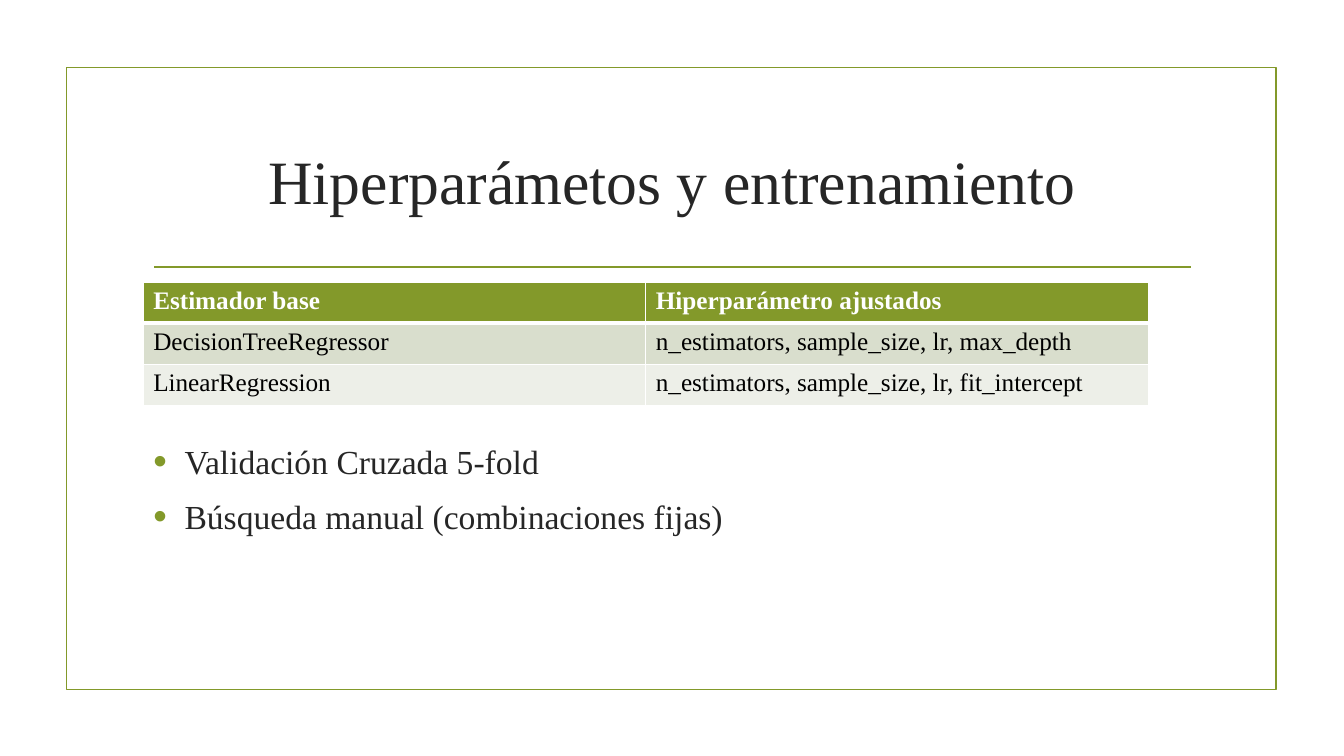
"""Builds the slide on hyperparameters and training."""
from dataclasses import dataclass

from lxml import etree
from pptx import Presentation
from pptx.dml.color import RGBColor as RGB
from pptx.enum.shapes import MSO_CONNECTOR as Connector, MSO_SHAPE as Shape
from pptx.enum.text import MSO_ANCHOR as Anchor, MSO_AUTO_SIZE as AutoSize, PP_ALIGN as Align
from pptx.oxml.ns import qn
from pptx.util import Inches, Pt


@dataclass(frozen=True)
class Theme:
    font: str = "Times New Roman"
    accent: str = "83992A"
    ink: str = "262626"
    white: str = "FFFFFF"
    black: str = "000000"
    bands: tuple = ("D9DECD", "EDEFE8")
    title_size: float = 44
    list_size: float = 24
    table_size: float = 18
    rule_width: float = 1.25


def apply(target, formats):
    for name, value in formats.items():
        setattr(target, name, value)


def add_element(parent, tag, **attributes):
    return etree.SubElement(parent, qn(tag), attributes)


class SlideBuilder:
    def __init__(self, slide, theme):
        self.slide = slide
        self.theme = theme

    def place(self, shape, left, top, width, height):
        apply(shape, {"left": Inches(left), "top": Inches(top),
                      "width": Inches(width), "height": Inches(height)})

    def add_text(self, paragraph, text, size, color, bold=False):
        run = paragraph.add_run()
        run.text = text
        apply(run.font, {"name": self.theme.font, "size": Pt(size), "bold": bold})
        run.font.color.rgb = RGB.from_string(color)

    def stroke(self, line):
        line.color.rgb = RGB.from_string(self.theme.accent)
        line.width = Pt(self.theme.rule_width)

    def frame(self, *box):
        border = self.slide.shapes.add_shape(Shape.RECTANGLE, *map(Inches, box))
        border.shadow.inherit = False
        border.fill.background()
        self.stroke(border.line)

    def rule(self, left, right, y):
        divider = self.slide.shapes.add_connector(
            Connector.STRAIGHT, *map(Inches, (left, y, right, y)))
        self.stroke(divider.line)
        add_element(divider._element.spPr, "a:effectLst")

    def title(self, text, *box):
        heading = self.slide.shapes.title
        self.place(heading, *box)
        apply(heading.text_frame, {"vertical_anchor": Anchor.MIDDLE,
                                   "auto_size": AutoSize.NONE, "word_wrap": True})
        paragraph = heading.text_frame.paragraphs[0]
        paragraph.alignment = Align.CENTER
        self.add_text(paragraph, text, self.theme.title_size, self.theme.ink)

    def bullets(self, items, *box):
        body = self.slide.placeholders[1]
        self.place(body, *box)
        frame = body.text_frame
        apply(frame, {"vertical_anchor": Anchor.TOP,
                      "auto_size": AutoSize.NONE, "word_wrap": True})
        indent = Inches(0.31)
        for index, item in enumerate(items):
            paragraph = frame.add_paragraph() if index else frame.paragraphs[0]
            properties = paragraph._p.get_or_add_pPr()
            for name, value in {"marL": indent, "indent": -indent}.items():
                properties.set(name, str(value))
            color = add_element(properties, "a:buClr")
            add_element(color, "a:srgbClr", val=self.theme.accent)
            add_element(properties, "a:buSzPct", val="115000")
            add_element(properties, "a:buFont", typeface="Arial")
            add_element(properties, "a:buChar", char="•")
            apply(paragraph, {"space_before": Pt(5 if index else 0),
                              "space_after": Pt(6), "alignment": Align.LEFT})
            self.add_text(paragraph, item, self.theme.list_size, self.theme.ink)

    def cell_borders(self, cell, widths):
        properties = cell._tc.get_or_add_tcPr()
        for side, width in widths.items():
            line = add_element(properties, f"a:ln{side}", w=str(Pt(width)))
            fill = add_element(line, "a:solidFill")
            add_element(fill, "a:srgbClr", val=self.theme.white)

    def table(self, rows, *box):
        theme = self.theme
        grid = self.slide.shapes.add_table(
            len(rows), len(rows[0]), *map(Inches, box)).table
        for row, texts in enumerate(rows):
            header = row == 0
            fill = theme.accent if header else theme.bands[(row - 1) % 2]
            color = theme.white if header else theme.black
            widths = {"L": 1, "R": 1, "T": 3 if row == 1 else 1, "B": 3 if header else 1}
            for column, text in enumerate(texts):
                cell = grid.cell(row, column)
                self.cell_borders(cell, widths)
                cell.fill.solid()
                cell.fill.fore_color.rgb = RGB.from_string(fill)
                self.add_text(cell.text_frame.paragraphs[0], text,
                              theme.table_size, color, header)


def main():
    deck = Presentation()
    apply(deck, {"slide_width": Inches(13.33), "slide_height": Inches(7.5)})
    builder = SlideBuilder(deck.slides.add_slide(deck.slide_layouts[1]), Theme())
    builder.frame(0.66, 0.67, 12, 6.17)
    builder.rule(1.53, 11.81, 2.65)
    builder.title("Hiperparámetos y entrenamiento", 1.42, 1.07, 10.5, 1.43)
    builder.table([
        ("Estimador base", "Hiperparámetro ajustados"),
        ("DecisionTreeRegressor", "n_estimators, sample_size, lr, max_depth"),
        ("LinearRegression", "n_estimators, sample_size, lr, fit_intercept"),
    ], 1.42, 2.8, 9.97, 1.22)
    builder.bullets(["Validación Cruzada 5-fold", "Búsqueda manual (combinaciones fijas)"],
                    1.42, 4.32, 10.5, 2.1)
    deck.save("out.pptx")


if __name__ == "__main__":
    main()
